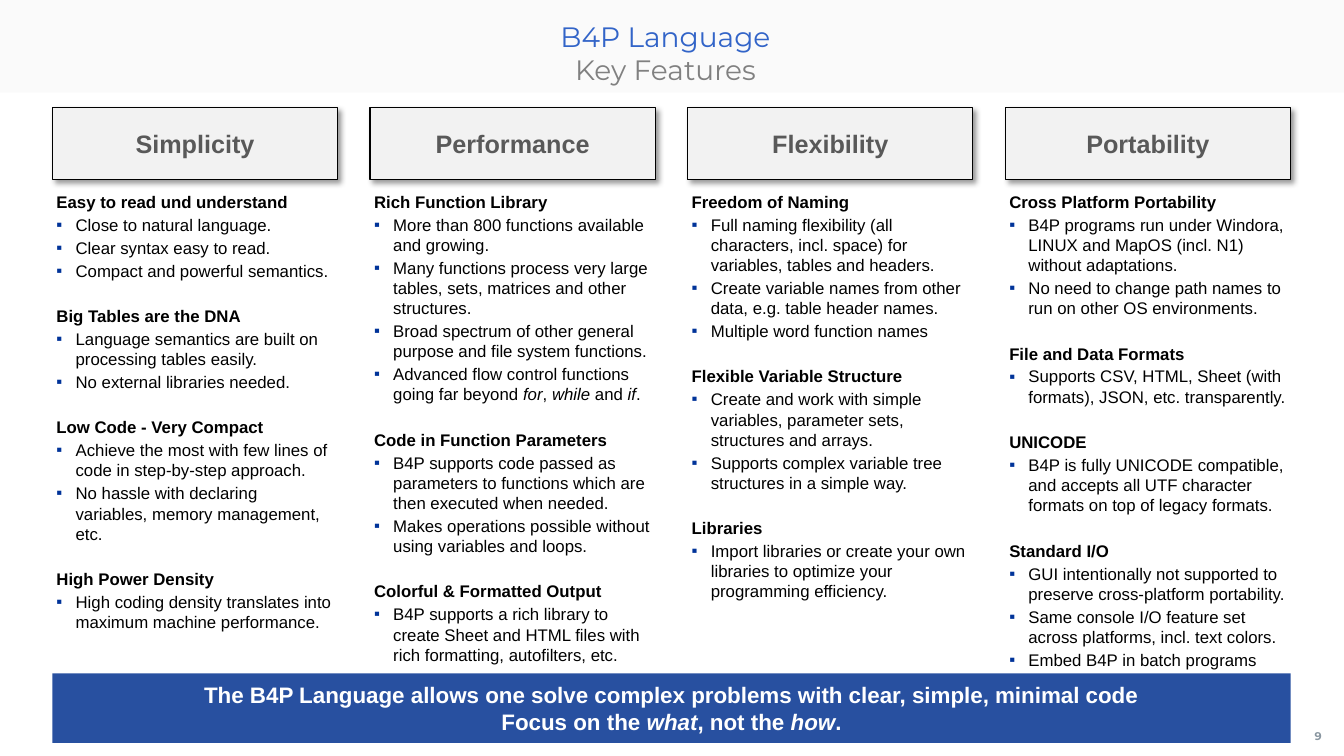
from lxml import etree
from pptx import Presentation
from pptx.dml.color import RGBColor
from pptx.enum.shapes import MSO_SHAPE
from pptx.enum.text import MSO_ANCHOR, PP_ALIGN
from pptx.oxml.ns import qn
from pptx.util import Inches, Pt

RECTANGLE = MSO_SHAPE.RECTANGLE
MIDDLE, TOP = MSO_ANCHOR.MIDDLE, MSO_ANCHOR.TOP
CENTER = PP_ALIGN.CENTER

COLORS = {
    "panel": "F2F2F2", "bar": "2850A0", "white": "FFFFFF", "black": "000000",
    "header": "595959", "bullet": "003399", "title": "3264C8",
    "subtitle": "808080", "number": "8996A0",
}

LEFT, COLUMN_WIDTH, COLUMN_STEP = 0.52, 2.83, 3.15
BODY_INSETS = (0.04, 0.04, 0.04, 0.04)

# Column header -> topics -> bullet points; asterisks enclose italic words.
COLUMNS = {
    "Simplicity": {
        "Easy to read und understand": [
            "Close to natural language.",
            "Clear syntax easy to read.",
            "Compact and powerful semantics."],
        "Big Tables are the DNA": [
            "Language semantics are built on processing tables easily.",
            "No external libraries needed."],
        "Low Code - Very Compact": [
            "Achieve the most with few lines of code in step-by-step approach.",
            "No hassle with declaring variables, memory management, etc."],
        "High Power Density": [
            "High coding density translates into maximum machine performance."],
    },
    "Performance": {
        "Rich Function Library": [
            "More than 800 functions available and growing.",
            "Many functions process very large tables, sets, matrices and other structures.",
            "Broad spectrum of other general purpose and file system functions.",
            "Advanced flow control functions going far beyond *for*, *while* and *if*."],
        "Code in Function Parameters": [
            "B4P supports code passed as parameters to functions which are then "
            "executed when needed.",
            "Makes operations possible without using variables and loops."],
        "Colorful & Formatted Output": [
            "B4P supports a rich library to create Sheet and HTML files with rich "
            "formatting, autofilters, etc."],
    },
    "Flexibility": {
        "Freedom of Naming": [
            "Full naming flexibility (all characters, incl. space) for variables, "
            "tables and headers.",
            "Create variable names from other data, e.g. table header names.",
            "Multiple word function names"],
        "Flexible Variable Structure": [
            "Create and work with simple variables, parameter sets, structures and arrays.",
            "Supports complex variable tree structures in a simple way."],
        "Libraries": [
            "Import libraries or create your own libraries to optimize your "
            "programming efficiency."],
    },
    "Portability": {
        "Cross Platform Portability": [
            "B4P programs run under Windora, LINUX and MapOS (incl. N1) without adaptations.",
            "No need to change path names to run on other OS environments."],
        "File and Data Formats": [
            "Supports CSV, HTML, Sheet (with formats), JSON, etc. transparently."],
        "UNICODE": [
            "B4P is fully UNICODE compatible, and accepts all UTF character formats "
            "on top of legacy formats."],
        "Standard I/O": [
            "GUI intentionally not supported to preserve cross-platform portability.",
            "Same console I/O feature set across platforms, incl. text colors.",
            "Embed B4P in batch programs"],
    },
}


def rgb(color):
    return RGBColor.from_string(COLORS[color])


def add_span(para, text, size, color, bold=False, italic=False, font="Arial"):
    span = para.add_run()
    span.text = text
    span.font.name, span.font.size = font, Pt(size)
    span.font.bold, span.font.italic = bold, italic
    span.font.color.rgb = rgb(color)


def add_marked_text(para, text, size, color, bold=False):
    """Add runs, turning the parts between asterisks italic."""
    for index, part in enumerate(text.split("*")):
        add_span(para, part, size, color, bold, italic=index % 2 == 1)


def set_frame(shape, insets, anchor, wrap):
    frame = shape.text_frame
    frame.margin_left, frame.margin_top, frame.margin_right, frame.margin_bottom = (
        Inches(inset) for inset in insets)
    frame.vertical_anchor = anchor
    frame.word_wrap = wrap
    return frame


def add_text_box(page, left, top, width, height, insets, anchor, wrap=True):
    box = page.shapes.add_textbox(
        Inches(left), Inches(top), Inches(width), Inches(height))
    return set_frame(box, insets, anchor, wrap)


def add_rectangle(page, left, top, width, height, color):
    box = page.shapes.add_shape(
        RECTANGLE, Inches(left), Inches(top), Inches(width), Inches(height))
    box.shadow.inherit = False
    box.fill.solid()
    box.fill.fore_color.rgb = rgb(color)
    box.line.fill.background()
    return box


def add_alpha(color_element, percent):
    etree.SubElement(color_element, qn("a:alpha"), val=str(percent * 1000))


def add_drop_shadow(shape):
    effects = shape._element.spPr.find(qn("a:effectLst"))
    shadow = etree.SubElement(
        effects, qn("a:outerShdw"), blurRad=str(Pt(4)), dist=str(Pt(3)),
        dir=str(45 * 60000), algn="tl", rotWithShape="0")
    color = etree.SubElement(shadow, qn("a:srgbClr"), val=COLORS["black"])
    add_alpha(color, 40)


def add_bullet(para):
    properties = para._p.get_or_add_pPr()
    properties.set("marL", str(Inches(0.19)))
    properties.set("indent", str(Inches(-0.19)))
    color = etree.SubElement(properties, qn("a:buClr"))
    etree.SubElement(color, qn("a:srgbClr"), val=COLORS["bullet"])
    etree.SubElement(properties, qn("a:buFont"), typeface="Arial")
    etree.SubElement(properties, qn("a:buChar"), char="▪")


def add_title(page):
    band = add_rectangle(page, 0, 0, 13.33, 0.92, "panel")
    add_alpha(band._element.spPr.find(qn("a:solidFill"))[0], 34)
    frame = add_text_box(page, 0.51, 0.13, 12.28, 0.79, (0, 0.05, 0.1, 0.05), MIDDLE)
    para = frame.paragraphs[0]
    para.alignment = CENTER
    add_span(para, "B4P Language", 20, "title", font="Montserrat")
    para.add_line_break()
    add_span(para, "Key Features", 20, "subtitle", font="Montserrat")


def add_page_number(page):
    frame = add_text_box(page, 12.89, 7.11, 0.45, 0.39, (0, 0.05, 0.08, 0.05), MIDDLE, False)
    para = frame.paragraphs[0]
    para.alignment = CENTER
    add_span(para, "9", 8, "number", bold=True, font="Montserrat")


def add_summary_bar(page):
    bar = add_rectangle(page, LEFT, 6.68, 12.28, 0.69, "bar")
    frame = set_frame(bar, BODY_INSETS, MIDDLE, False)
    lines = ["The B4P Language allows one solve complex problems with clear, simple, minimal code",
             "Focus on the *what*, not the *how*."]
    for index, line in enumerate(lines):
        para = frame.add_paragraph() if index else frame.paragraphs[0]
        para.alignment = CENTER
        add_marked_text(para, line, 16, "white", bold=True)


def add_column_header(page, left, name):
    box = add_rectangle(page, left, 1.07, COLUMN_WIDTH, 0.71, "panel")
    box.line.color.rgb = rgb("black")
    box.line.width = Pt(0.75)
    add_drop_shadow(box)
    para = set_frame(box, BODY_INSETS, MIDDLE, False).paragraphs[0]
    para.alignment = CENTER
    add_span(para, name, 18, "header", bold=True)


def add_topics(page, left, topics):
    frame = add_text_box(page, left, 1.86, COLUMN_WIDTH, 4.25, BODY_INSETS, TOP)
    for index, (topic, points) in enumerate(topics.items()):
        para = frame.add_paragraph() if index else frame.paragraphs[0]
        para.space_before, para.space_after = Pt(17 if index else 0), Pt(1)
        add_span(para, topic, 12, "black", bold=True)
        for point in points:
            para = frame.add_paragraph()
            add_bullet(para)
            para.space_before = para.space_after = Pt(1)
            add_marked_text(para, point, 12, "black")


def main():
    deck = Presentation()
    deck.slide_width, deck.slide_height = Inches(13.33), Inches(7.5)
    page = deck.slides.add_slide(deck.slide_layouts[6])
    add_title(page)
    add_page_number(page)
    add_summary_bar(page)
    for index, (name, topics) in enumerate(COLUMNS.items()):
        left = LEFT + index * COLUMN_STEP
        add_column_header(page, left, name)
        add_topics(page, left, topics)
    deck.save("out.pptx")


if __name__ == "__main__":
    main()
